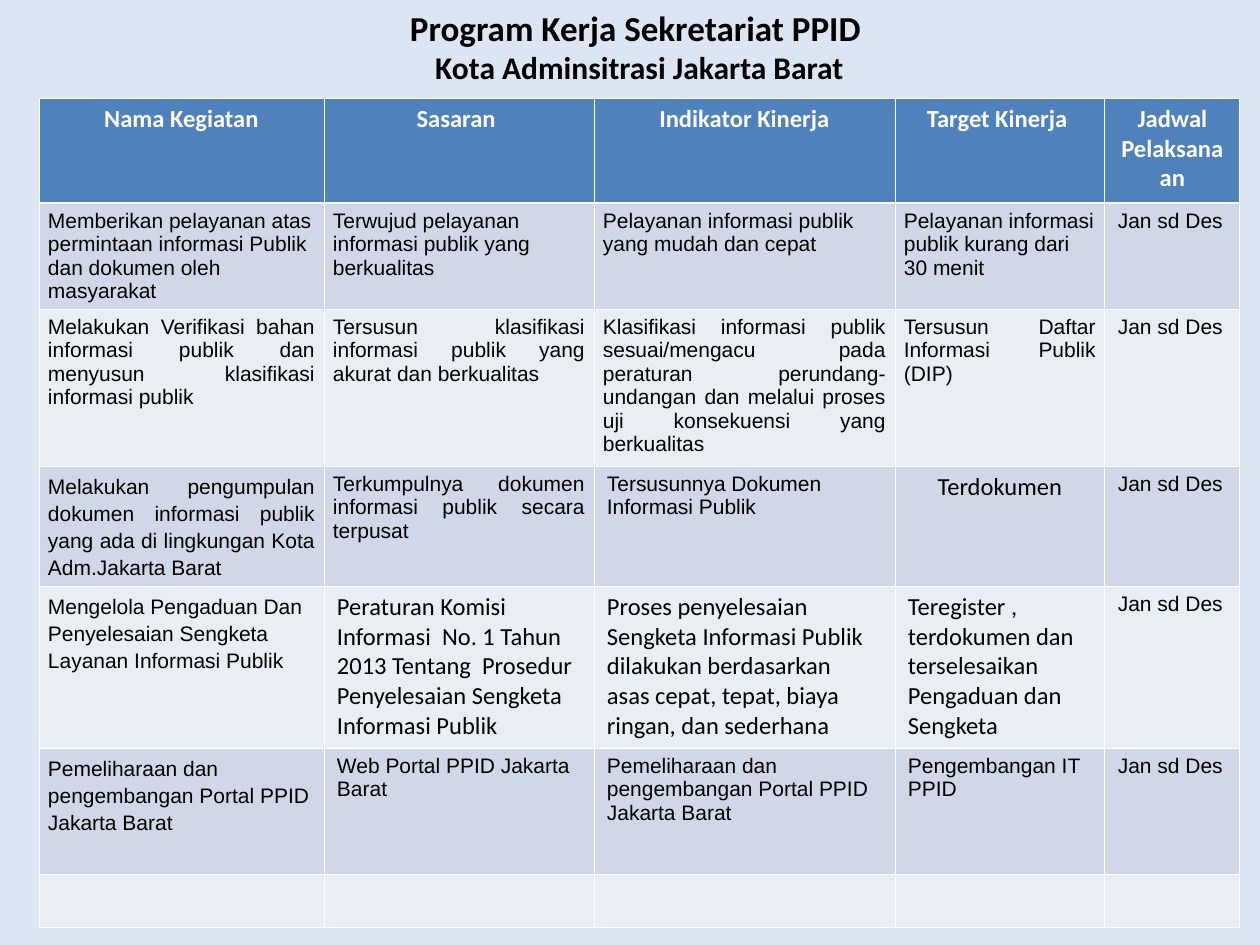
from lxml import etree
from pptx import Presentation
from pptx.dml.color import RGBColor
from pptx.enum.text import MSO_AUTO_SIZE, PP_ALIGN
from pptx.oxml.ns import qn
from pptx.util import Pt

EMU_PER_PX = 914400 / 126
LEFT, CENTER, JUSTIFY = PP_ALIGN.LEFT, PP_ALIGN.CENTER, PP_ALIGN.JUSTIFY
FIT_SHAPE = MSO_AUTO_SIZE.SHAPE_TO_FIT_TEXT

BACKGROUND = RGBColor(0xDC, 0xE6, 0xF2)
HEADER = RGBColor(0x4F, 0x81, 0xBD)
BAND_DARK = RGBColor(0xD0, 0xD8, 0xE8)
BAND_LIGHT = RGBColor(0xE9, 0xED, 0xF4)
WHITE = RGBColor(0xFF, 0xFF, 0xFF)
BLACK = RGBColor(0, 0, 0)

NARROW, WIDE, VERTICAL = 9, 13, 6  # insets in px
THIN, THICK = 0.5, 1.5  # border widths in points

# Cell styles: font, size, alignment, side inset, line spacing
HEAD = ("Calibri", 14, CENTER, WIDE, None)
PLAIN = ("Arial", 12, LEFT, NARROW, None)
INSET = ("Arial", 12, LEFT, WIDE, None)
JUST = ("Arial", 12, JUSTIFY, NARROW, None)
LOOSE = ("Arial", 12, LEFT, NARROW, 1.15)
LOOSE_JUST = ("Arial", 12, JUSTIFY, NARROW, 1.15)
LARGE = ("Calibri", 14, LEFT, WIDE, None)
LARGE_MID = ("Calibri", 14, CENTER, WIDE, None)

SCHEDULE = ("Jan sd Des", INSET)
HEADINGS = ["Nama Kegiatan", "Sasaran ", "Indikator Kinerja", "Target Kinerja ",
            "Jadwal Pelaksanaan"]
ACTIVITIES = [
    [("Memberikan pelayanan atas permintaan informasi Publik dan dokumen oleh masyarakat", PLAIN),
     ("Terwujud pelayanan informasi publik yang berkualitas", PLAIN),
     ("Pelayanan informasi publik yang mudah dan cepat", PLAIN),
     ("Pelayanan informasi publik kurang dari 30 menit", PLAIN)],
    [("Melakukan Verifikasi bahan informasi publik dan menyusun klasifikasi informasi publik", JUST),
     ("Tersusun klasifikasi informasi publik yang akurat dan berkualitas", JUST),
     ("Klasifikasi informasi publik sesuai/mengacu pada peraturan perundang-undangan "
      "dan melalui proses uji konsekuensi yang berkualitas", JUST),
     ("Tersusun Daftar Informasi Publik (DIP) ", JUST)],
    [("Melakukan pengumpulan dokumen informasi publik yang ada di lingkungan Kota "
      "Adm.Jakarta Barat", LOOSE_JUST),
     ("Terkumpulnya dokumen informasi publik secara terpusat", JUST),
     ("Tersusunnya Dokumen Informasi Publik", INSET),
     ("Terdokumen", LARGE_MID)],
    [("Mengelola Pengaduan Dan Penyelesaian Sengketa  Layanan Informasi Publik", LOOSE),
     ("Peraturan Komisi Informasi  No. 1 Tahun 2013 Tentang  Prosedur Penyelesaian "
      "Sengketa Informasi Publik", LARGE),
     ("Proses penyelesaian Sengketa Informasi Publik dilakukan berdasarkan \n"
      "asas cepat, tepat, biaya ringan, dan sederhana", LARGE),
     ("Teregister ,  terdokumen dan terselesaikan Pengaduan dan Sengketa", LARGE)],
    [("Pemeliharaan dan pengembangan Portal PPID Jakarta Barat", LOOSE),
     ("Web Portal PPID Jakarta Barat", INSET),
     ("Pemeliharaan dan pengembangan Portal PPID Jakarta Barat", INSET),
     ("Pengembangan IT PPID", INSET)],
]
COLUMNS = [285, 270, 301, 210, 135]
ROWS = [105, 106, 157, 120, 162, 126, 53]


def px(value):
    return round(value * EMU_PER_PX)


class SlideBuilder:
    def __init__(self, prs):
        self.slide = prs.slides.add_slide(prs.slide_layouts[6])
        fill = self.slide.background.fill
        fill.solid()
        fill.fore_color.rgb = BACKGROUND

    def add_text(self, p, text, font, size, align, color, bold):
        p.alignment = align
        for i, line in enumerate(text.split("\n")):
            if i:
                p.add_line_break()
            r = p.add_run()
            r.text = line
            r.font.name, r.font.size, r.font.bold = font, Pt(size), bold
            r.font.color.rgb = color

    def insets(self, box, side):
        box.margin_left = box.margin_right = px(side)
        box.margin_top = box.margin_bottom = px(VERTICAL)

    def title(self, x, y, w, h, lines):
        tf = self.slide.shapes.add_textbox(px(x), px(y), px(w), px(h)).text_frame
        tf.word_wrap = True
        tf.auto_size = FIT_SHAPE
        self.insets(tf, WIDE)
        for i, (text, size) in enumerate(lines):
            p = tf.add_paragraph() if i else tf.paragraphs[0]
            self.add_text(p, text, "Calibri", size, CENTER, BLACK, True)

    def borders(self, cell, top, bottom):
        tc_pr = cell._tc.get_or_add_tcPr()
        for side, width in (("L", THIN), ("R", THIN), ("T", top), ("B", bottom)):
            ln = etree.SubElement(tc_pr, qn(f"a:ln{side}"), w=str(Pt(width)))
            solid = etree.SubElement(ln, qn("a:solidFill"))
            etree.SubElement(solid, qn("a:srgbClr"), val=str(WHITE))

    def cell(self, cell, text, style, color, bold):
        font, size, align, side, spacing = style
        self.insets(cell, side)
        p = cell.text_frame.paragraphs[0]
        if spacing:
            p.line_spacing, p.space_after = spacing, Pt(10)
        self.add_text(p, text, font, size, align, color, bold)

    def table(self, x, y, columns, rows, content):
        frame = self.slide.shapes.add_table(len(rows), len(columns), px(x), px(y),
                                            px(sum(columns)), px(sum(rows)))
        table = frame.table
        table.horz_banding = False
        for column, width in zip(table.columns, columns):
            column.width = px(width)
        for r, height in enumerate(rows):
            table.rows[r].height = px(height)
            band = HEADER if r == 0 else BAND_DARK if r % 2 else BAND_LIGHT
            for c in range(len(columns)):
                cell = table.cell(r, c)
                self.borders(cell, THICK if r == 1 else THIN, THICK if r == 0 else THIN)
                cell.fill.solid()
                cell.fill.fore_color.rgb = band
                if r < len(content):
                    text, style = content[r][c]
                    self.cell(cell, text, style, BLACK if r else WHITE, r == 0)


def main():
    prs = Presentation()
    prs.slide_width, prs.slide_height = px(1260), px(945)
    s = SlideBuilder(prs)

    # Work programme table; the last row stays empty
    content = [[(heading, HEAD) for heading in HEADINGS]]
    content += [row + [SCHEDULE] for row in ACTIVITIES]
    s.table(39, 98, COLUMNS, ROWS, content)

    # Title
    s.title(344, 0, 591, 93, [("Program Kerja Sekretariat PPID ", 20),
                              ("Kota Adminsitrasi Jakarta Barat", 18)])
    prs.save("out.pptx")


if __name__ == "__main__":
    main()
